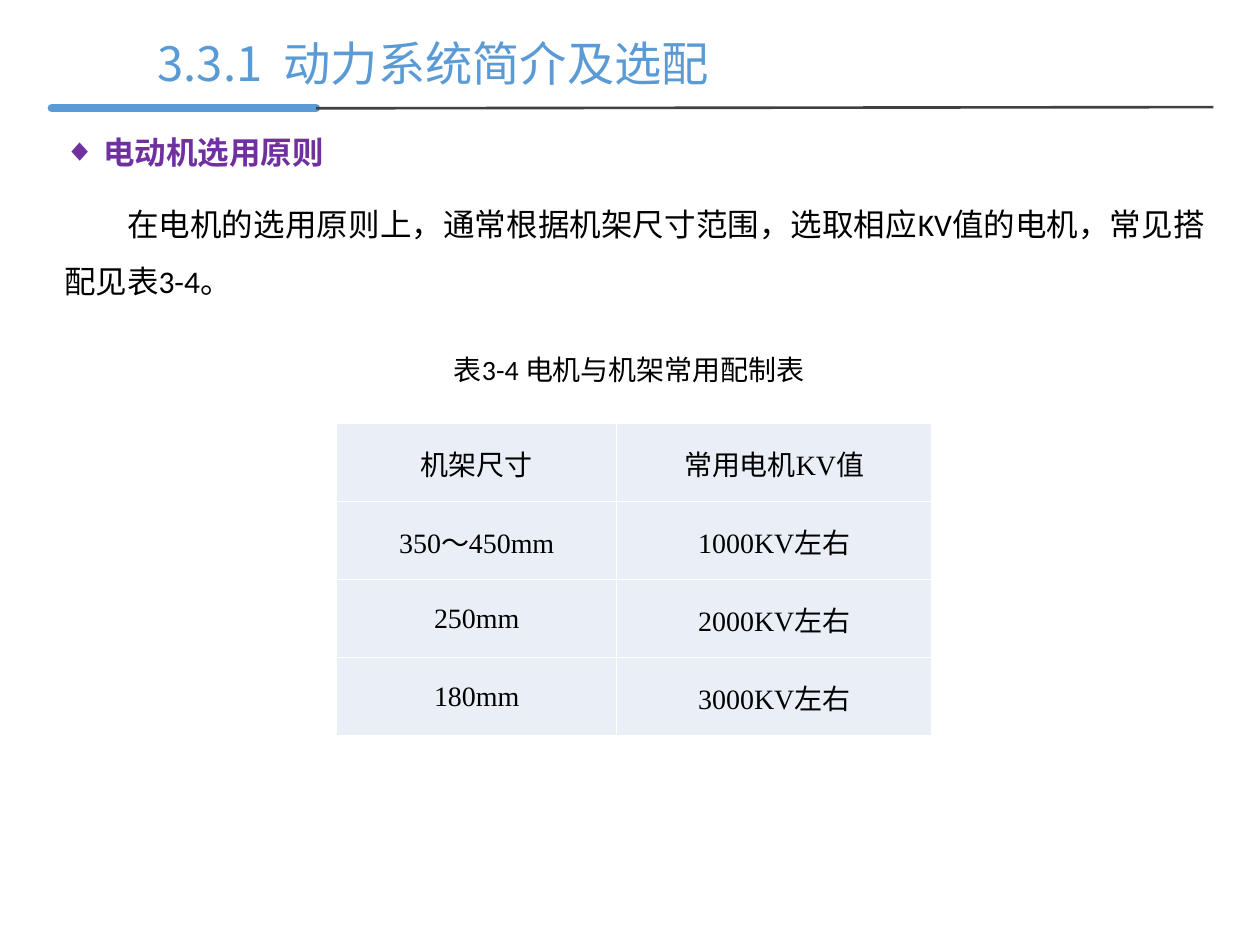
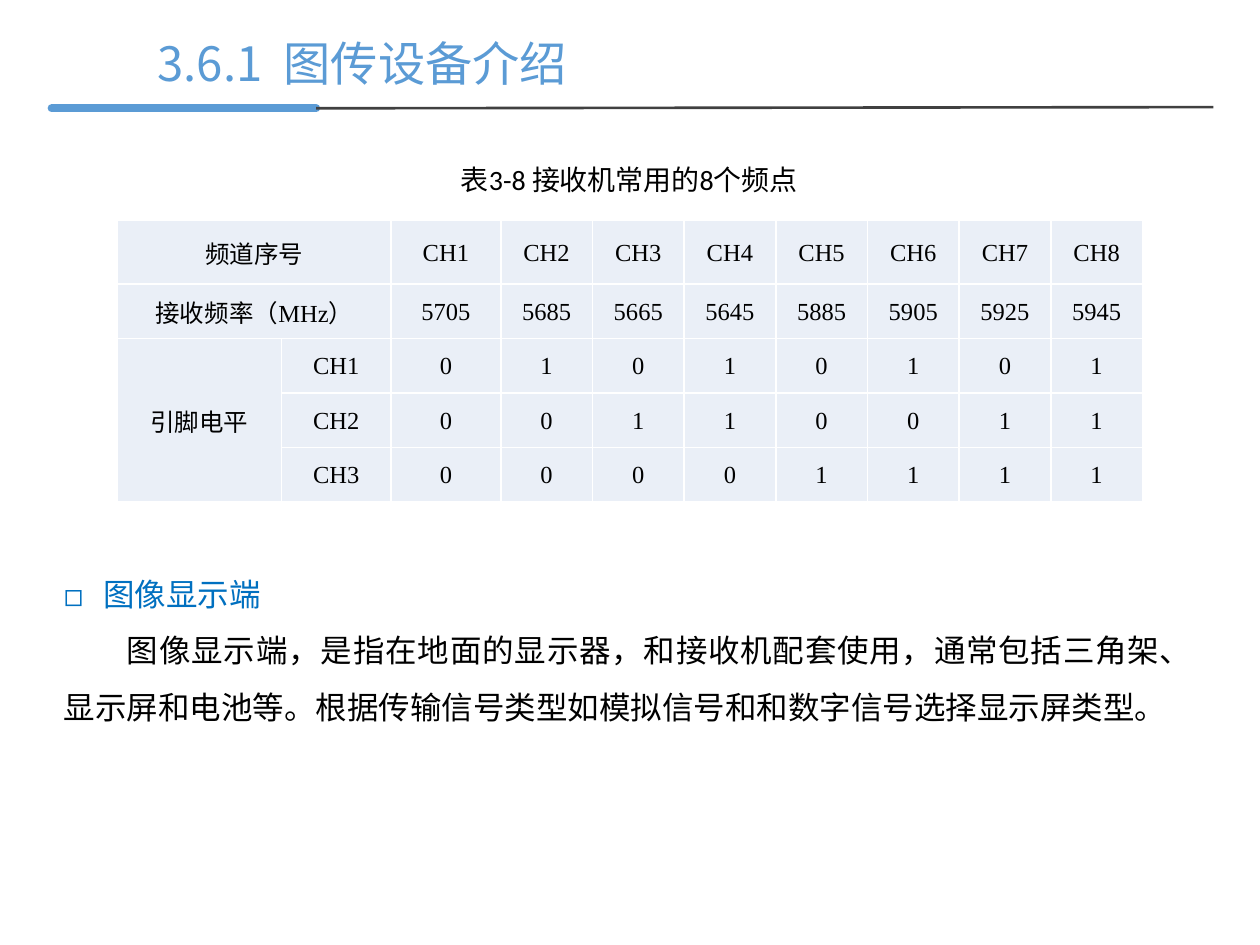
from dataclasses import dataclass

import pptx
import pptx.dml.color
import pptx.enum.shapes
import pptx.enum.text
import pptx.oxml.ns
import pptx.util
from lxml import etree

Pt = pptx.util.Pt
ALIGN = pptx.enum.text.PP_ALIGN
ANCHOR = pptx.enum.text.MSO_ANCHOR

# Shared style
COLORS = {
    "accent": "5B9BD5", "rule": "404040", "heading": "7030A0",
    "subheading": "0070C0", "text": "000000", "cell": "EAEFF7", "border": "FFFFFF",
}
CJK, SANS, SERIF = "Noto Sans CJK SC", "Calibri", "Times New Roman"
BODY_SIZE, CAPTION_SIZE, TITLE_SIZE = 18, 16, 27
HANGING, FIRST_LINE = 22.5, 36


@dataclass
class Box:
    left: float
    top: float
    width: float
    height: float


@dataclass
class Para:
    text: str
    size: float = BODY_SIZE
    font: str = SANS
    color: str = "text"
    bold: bool = False
    align: ALIGN = ALIGN.JUSTIFY
    margin: float = 0
    indent: float = 0
    spacing: float = 1.0
    bullet: str = ""


@dataclass
class Rule:
    x1: float
    y1: float
    x2: float
    y2: float
    color: str
    weight: float
    cap: str


@dataclass
class Grid:
    left: float
    top: float
    cols: list[float]
    rows: list[float]
    cells: list[list[str]]
    size: float
    side_inset: float
    merges: list[tuple[int, int, int, int]]


TITLE_BOX = Box(82.8, 19.44, 599, 40.32)
TITLE_TAB = 79
HEADER_RULES = [
    Rule(29.5, 61.9, 180.7, 61.9, "accent", 4.5, "rnd"),
    Rule(180.7, 61.9, 693.4, 61.2, "rule", 1.5, "flat"),
]


# Drawing helpers
def rgb(name: str) -> pptx.dml.color.RGBColor:
    return pptx.dml.color.RGBColor.from_string(COLORS[name])


def sub(parent, tag: str, **attrs: str):
    return etree.SubElement(parent, pptx.oxml.ns.qn(tag), attrs)


def write(p, para: Para) -> None:
    p.text = para.text
    p.alignment = para.align
    p.line_spacing = para.spacing
    ppr = p._p.get_or_add_pPr()
    ppr.set("marL", str(Pt(para.margin)))
    ppr.set("indent", str(Pt(para.indent)))
    if para.bullet:
        sub(ppr, "a:buFont", typeface=para.font)
        sub(ppr, "a:buChar", char=para.bullet)
    for r in p.runs:
        r.font.name = para.font
        r.font.size = Pt(para.size)
        r.font.bold = para.bold
        r.font.color.rgb = rgb(para.color)
        sub(r._r.get_or_add_rPr(), "a:ea", typeface=CJK)


def add_text(s, box: Box, paras: list[Para]) -> None:
    tf = s.shapes.add_textbox(Pt(box.left), Pt(box.top), Pt(box.width), Pt(box.height)).text_frame
    tf.word_wrap = True
    tf.auto_size = pptx.enum.text.MSO_AUTO_SIZE.SHAPE_TO_FIT_TEXT
    for i, para in enumerate(paras):
        write(tf.add_paragraph() if i else tf.paragraphs[0], para)


def add_rule(s, rule: Rule) -> None:
    line = s.shapes.add_connector(
        pptx.enum.shapes.MSO_CONNECTOR.STRAIGHT,
        Pt(rule.x1), Pt(rule.y1), Pt(rule.x2), Pt(rule.y2))
    line.line.color.rgb = rgb(rule.color)
    line.line.width = Pt(rule.weight)
    line.line._get_or_add_ln().set("cap", rule.cap)
    sub(line._element.spPr, "a:effectLst")


def add_borders(cell) -> None:
    tcpr = cell._tc.get_or_add_tcPr()
    for i, side in enumerate("LRTB"):
        ln = sub(tcpr, f"a:ln{side}", w=str(Pt(1)))
        sub(sub(ln, "a:solidFill"), "a:srgbClr", val=COLORS["border"])
        tcpr.insert(i, ln)


def add_grid(s, grid: Grid) -> None:
    table = s.shapes.add_table(
        len(grid.rows), len(grid.cols), Pt(grid.left), Pt(grid.top),
        Pt(sum(grid.cols)), Pt(sum(grid.rows))).table
    table.first_row = table.horz_banding = False
    for col, width in zip(table.columns, grid.cols):
        col.width = Pt(width)
    for row, height in zip(table.rows, grid.rows):
        row.height = Pt(height)
    for i, texts in enumerate(grid.cells):
        for j, text in enumerate(texts):
            cell = table.cell(i, j)
            cell.fill.solid()
            cell.fill.fore_color.rgb = rgb("cell")
            cell.vertical_anchor = ANCHOR.MIDDLE
            cell.margin_left = cell.margin_right = Pt(grid.side_inset)
            cell.margin_top, cell.margin_bottom = Pt(0.7), Pt(0)
            add_borders(cell)
            write(cell.text_frame.paragraphs[0],
                  Para(text, grid.size, SERIF, align=ALIGN.CENTER))
    for r1, c1, r2, c2 in grid.merges:
        table.cell(r1, c1).merge(table.cell(r2, c2))


def add_titled_slide(prs, title: str):
    s = prs.slides.add_slide(prs.slide_layouts[5])
    sp = s.shapes.title
    sp.left, sp.top = Pt(TITLE_BOX.left), Pt(TITLE_BOX.top)
    sp.width, sp.height = Pt(TITLE_BOX.width), Pt(TITLE_BOX.height)
    tf = sp.text_frame
    tf.word_wrap = True
    tf.auto_size = pptx.enum.text.MSO_AUTO_SIZE.NONE
    tf.vertical_anchor = ANCHOR.TOP
    p = tf.paragraphs[0]
    write(p, Para(title, TITLE_SIZE, CJK, "accent", align=ALIGN.LEFT, spacing=0.9))
    tabs = sub(p._p.get_or_add_pPr(), "a:tabLst")
    sub(tabs, "a:tab", pos=str(Pt(TITLE_TAB)), algn="l")
    for rule in HEADER_RULES:
        add_rule(s, rule)
    return s


def caption(text: str) -> list[Para]:
    return [Para(text, CAPTION_SIZE, align=ALIGN.CENTER)]


def bullet_heading(text: str, bullet: str, font: str, color: str, **style) -> Para:
    return Para(text, font=font, color=color, bullet=bullet,
                margin=HANGING, indent=-HANGING, **style)


def body(text: str, font: str = SANS) -> Para:
    return Para(text, font=font, indent=FIRST_LINE, spacing=1.5)


# Slide 1: motor selection
def build_motor_slide(prs) -> None:
    s = add_titled_slide(prs, "3.3.1\t动力系统简介及选配")
    add_text(s, Box(29.5, 72.7, 664, 28.8),
             [bullet_heading("电动机选用原则", "◆", SERIF, "heading", bold=True)])
    add_text(s, Box(29.5, 103, 666, 69), [body(
        "在电机的选用原则上，通常根据机架尺寸范围，选取相应KV值的电机，常见搭配见表3-4。")])
    add_grid(s, Grid(192.4, 242, [160, 180], [44.6] * 4, [
        ["机架尺寸", "常用电机KV值"],
        ["350～450mm", "1000KV左右"],
        ["250mm", "2000KV左右"],
        ["180mm", "3000KV左右"],
    ], size=16, side_inset=5.8, merges=[]))
    add_text(s, Box(236, 198, 247, 26.6), caption("表3-4 电机与机架常用配制表"))


# Slide 2: video transmission
def build_video_slide(prs) -> None:
    s = add_titled_slide(prs, "3.6.1\t图传设备介绍")
    channels = range(8)
    frequencies = [5705, 5685, 5665, 5645, 5885, 5905, 5925, 5945]
    cells = [
        ["频道序号", ""] + [f"CH{n + 1}" for n in channels],
        ["接收频率（MHz）", ""] + [str(f) for f in frequencies],
    ]
    # Each pin carries one bit of the channel index
    for pin in range(3):
        cells.append(["" if pin else "引脚电平", f"CH{pin + 1}"]
                     + [str(n >> pin & 1) for n in channels])
    add_grid(s, Grid(67.2, 126, [93.6, 62.7, 62.7] + [52.4] * 7, [36.4] + [31.1] * 4, cells,
                     size=14, side_inset=5, merges=[(0, 0, 0, 1), (1, 0, 1, 1), (2, 0, 4, 0)]))
    add_text(s, Box(237.6, 89.3, 244, 26.6), caption("表3-8 接收机常用的8个频点"))
    add_text(s, Box(29.5, 314, 659, 100), [
        bullet_heading("图像显示端", "◻", CJK, "subheading", spacing=1.5),
        body("图像显示端，是指在地面的显示器，和接收机配套使用，通常包括三角架、"
             "显示屏和电池等。根据传输信号类型如模拟信号和和数字信号选择显示屏类型。", CJK),
    ])


def main() -> None:
    prs = pptx.Presentation()
    prs.slide_width, prs.slide_height = Pt(720), Pt(540)
    build_motor_slide(prs)
    build_video_slide(prs)
    prs.save("out.pptx")


if __name__ == "__main__":
    main()
